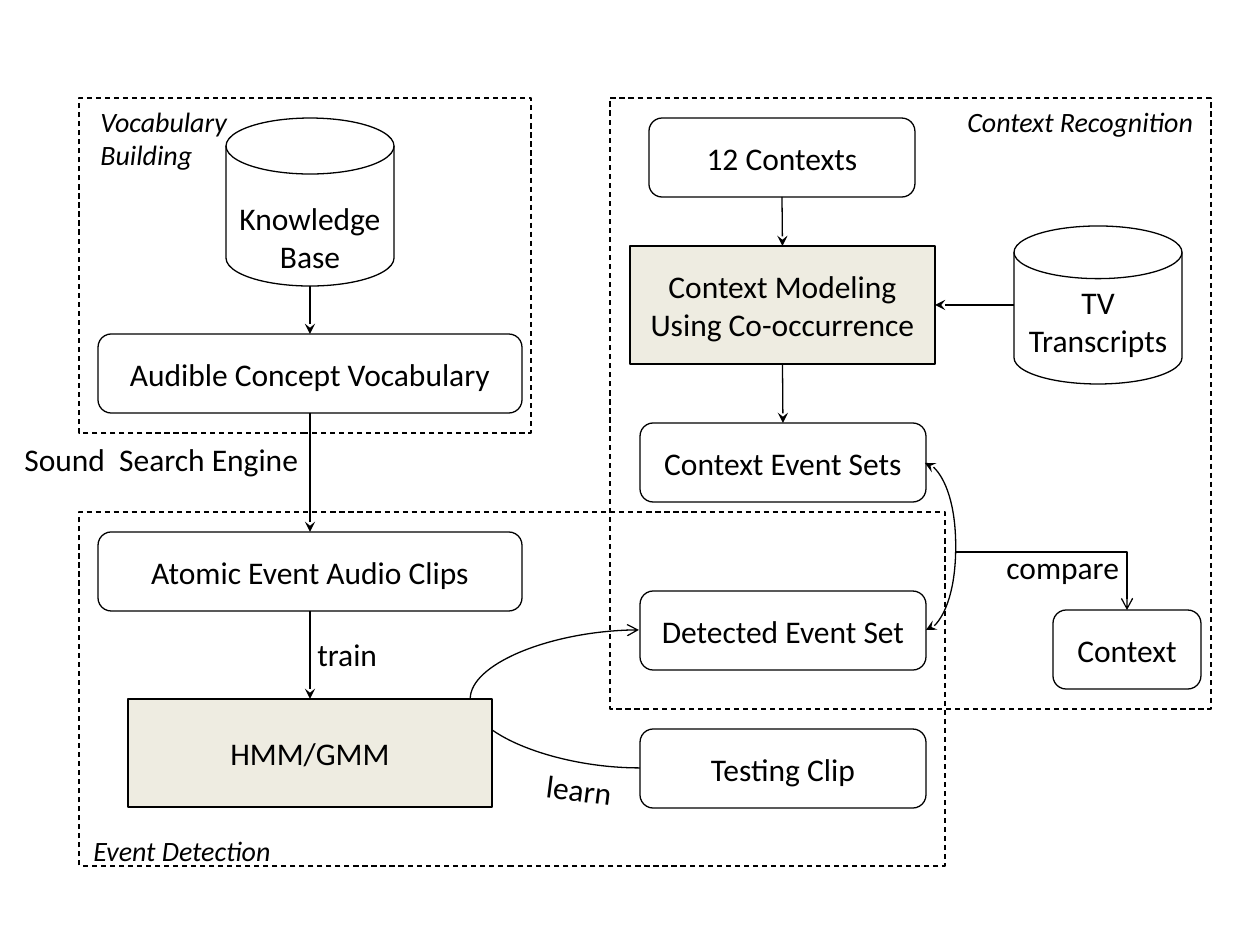
from lxml import etree
from pptx import Presentation
from pptx.dml.color import RGBColor
from pptx.enum.dml import MSO_LINE
from pptx.enum.shapes import MSO_CONNECTOR, MSO_SHAPE
from pptx.enum.text import MSO_ANCHOR, PP_ALIGN
from pptx.oxml.ns import qn
from pptx.util import Emu, Pt

RECT, ROUND = MSO_SHAPE.RECTANGLE, MSO_SHAPE.ROUNDED_RECTANGLE
DISK = MSO_SHAPE.FLOWCHART_MAGNETIC_DISK
LINE, BENT, CURVE = MSO_CONNECTOR.STRAIGHT, MSO_CONNECTOR.ELBOW, MSO_CONNECTOR.CURVE
DASH = MSO_LINE.DASH
MID, TOP = MSO_ANCHOR.MIDDLE, MSO_ANCHOR.TOP
LEFT, CENTER = PP_ALIGN.LEFT, PP_ALIGN.CENTER

BLACK, WHITE, BEIGE = "000000", "FFFFFF", "EEECE1"
FONT = "Calibri"
ROW = 79  # height of a rounded box


def px(n):
    return Emu(round(n * 914400 / 126))


def color(code):
    return RGBColor.from_string(code)


def write(frame, lines, size, align, italic=False):
    for i, line in enumerate(lines):
        para = frame.paragraphs[0] if i == 0 else frame.add_paragraph()
        para.alignment = align
        run = para.add_run()
        run.text = line
        font = run.font
        font.name, font.size, font.italic = FONT, Pt(size), italic
        font.color.rgb = color(BLACK)


def stroke(part):
    part.line.color.rgb = color(BLACK)
    part.line.width = Pt(0.75)


def box(slide, x, y, w, h, *lines, kind=ROUND, fill=WHITE, drop=6):
    shape = slide.shapes.add_shape(kind, px(x), px(y), px(w), px(h))
    shape.shadow.inherit = False
    shape.fill.solid()
    shape.fill.fore_color.rgb = color(fill)
    stroke(shape)
    frame = shape.text_frame
    frame.word_wrap = True
    frame.vertical_anchor = MID
    frame.margin_top = px(drop)
    frame.margin_bottom = px(0 if kind == DISK else 6)
    write(frame, lines, 18, CENTER)
    return shape


def border(slide, x, y, w, h):
    shape = slide.shapes.add_shape(RECT, px(x), px(y), px(w), px(h))
    shape.shadow.inherit = False
    shape.fill.background()
    stroke(shape)
    shape.line.dash_style = DASH


def label(slide, x, y, w, h, *lines, size=18, italic=False, turn=0):
    text = slide.shapes.add_textbox(px(x), px(y), px(w), px(h))
    text.rotation = turn
    text.text_frame.word_wrap = False
    text.text_frame.vertical_anchor = TOP
    write(text.text_frame, lines, size, LEFT, italic)


def link(slide, start, end, kind=LINE, head=None, tail="stealth"):
    """Draw an arrow between two points given in px."""
    arrow = slide.shapes.add_connector(kind, *map(px, start + end))
    stroke(arrow)
    ln = arrow.line._get_or_add_ln()
    for tag, mark in (("a:headEnd", head), ("a:tailEnd", tail)):
        if mark:
            etree.SubElement(ln, qn(tag), type=mark)
    etree.SubElement(arrow._element.spPr, qn("a:effectLst"))
    return arrow


def shape_path(arrow, preset, bulge=None):
    """Set the connector preset; bulge is a multiple of its width."""
    geom = arrow._element.spPr.find(qn("a:prstGeom"))
    geom.set("prst", preset)
    if bulge:
        guides = geom.find(qn("a:avLst"))
        etree.SubElement(guides, qn("a:gd"), name="adj1", fmla=f"val {bulge * 100000}")


def join(slide, upper, lower):
    arrow = link(slide, (0, 0), (0, 0))
    arrow.begin_connect(upper, 2)
    arrow.end_connect(lower, 0)


def vocab(slide, x, y, w, h):
    border(slide, x, y, w, h)
    words = box(slide, x + 19, y + 236, 424, ROW, "Audible Concept Vocabulary")
    box(slide, x + 147, y + 20, 168, 168, "Knowledge Base", kind=DISK, drop=42)
    arrow = link(slide, (x + 231, y + 188), (x + 231, y + 236))
    arrow.end_connect(words, 0)
    label(slide, x + 9, y, 156, 81, "Vocabulary", "Building", size=16, italic=True)
    return words


def detect(slide, x, y, w, h):
    # Learning curve, partly covered by the model box
    learn = link(slide, (x + 561, y + 256), (x + 560, y + 118), CURVE, tail="arrow")
    shape_path(learn, "curvedConnector3", 171)
    border(slide, x, y, w, h)

    # Training column
    clips = box(slide, x + 19, y + 20, 424, ROW, "Atomic Event Audio Clips")
    model = box(slide, x + 49, y + 187, 364, 108, "HMM/GMM", kind=RECT, fill=BEIGE)
    join(slide, clips, model)

    # Testing column
    found = box(slide, x + 561, y + 79, 286, ROW, "Detected Event Set")
    box(slide, x + 561, y + 217, 286, ROW, "Testing Clip")

    label(slide, x + 226, y + 117, 86, 50, "train")
    label(slide, x + 455, y + 252, 92, 50, "learn", turn=7.4)
    label(slide, x + 2, y + 315, 205, 47, "Event Detection", size=16, italic=True)
    return clips, found


def context(slide, x, y, w, h):
    border(slide, x, y, w, h)

    # Modelling column
    names = box(slide, x + 39, y + 20, 266, ROW, "12 Contexts")
    model = box(slide, x + 20, y + 148, 305, 118,
                "Context Modeling", "Using Co-occurrence", kind=RECT, fill=BEIGE)
    sets = box(slide, x + 30, y + 325, 286, ROW, "Context Event Sets")
    join(slide, names, model)
    join(slide, model, sets)

    # Transcript store
    box(slide, x + 404, y + 128, 168, 158, "TV Transcripts", kind=DISK)
    arrow = link(slide, (x + 404, y + 207), (x + 325, y + 207))
    arrow.end_connect(model, 3)

    # Comparison result
    box(slide, x + 443, y + 512, 148, ROW, "Context")
    label(slide, x + 384, y + 444, 140, 50, "compare")
    turn = link(slide, (x + 345, y + 454), (x + 517, y + 512), BENT, tail="arrow")
    shape_path(turn, "bentConnector2")
    label(slide, x + 345, y, 255, 47, "Context Recognition", size=16, italic=True)
    return sets


def main():
    deck = Presentation()
    deck.slide_width, deck.slide_height = px(1260), px(945)
    slide = deck.slides.add_slide(deck.slide_layouts[6])

    words = vocab(slide, 79, 98, 452, 335)
    clips, found = detect(slide, 79, 512, 866, 354)
    sets = context(slide, 610, 98, 601, 611)

    # Links between regions
    join(slide, words, clips)
    label(slide, 12, 434, 302, 50, "Sound  Search Engine")
    pair = link(slide, (925, 463), (926, 630), CURVE, head="stealth")
    shape_path(pair, "curvedConnector3", 31)

    deck.save("out.pptx")


if __name__ == "__main__":
    main()
